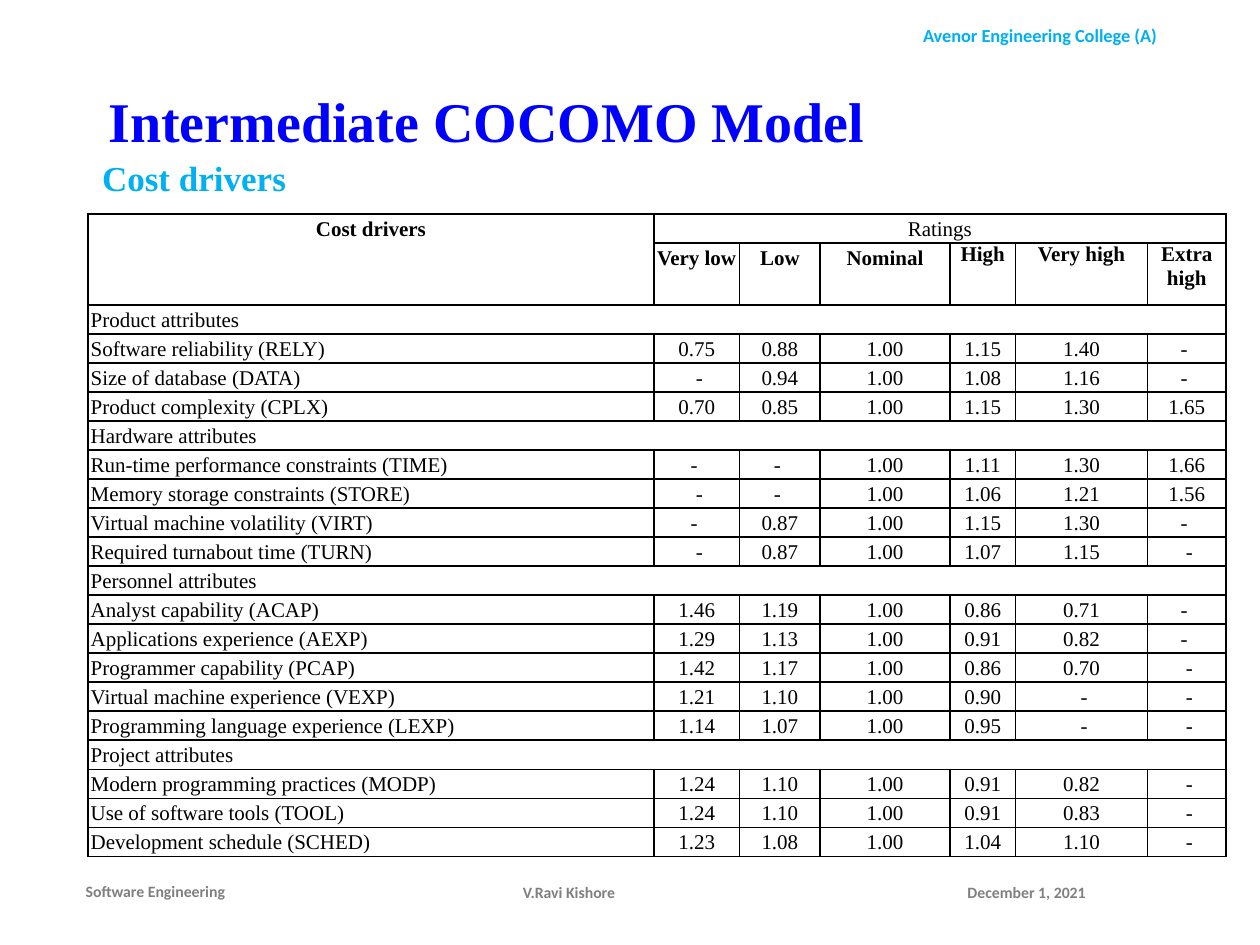
import lxml.etree
import pptx
import pptx.dml.color
import pptx.enum.text
import pptx.oxml.ns
import pptx.util

Inches = pptx.util.Inches
Pt = pptx.util.Pt
qn = pptx.oxml.ns.qn
ALIGN = pptx.enum.text.PP_ALIGN
ANCHOR = pptx.enum.text.MSO_ANCHOR
FIT = pptx.enum.text.MSO_AUTO_SIZE

SERIF, SANS = "Times New Roman", "Calibri"
BLACK, GREY, CYAN, BLUE = "000000", "808080", "00B0F0", "0000FF"
PRE, POST = "\u00a0-", "-\u00a0"

WIDTHS = (4.49, 0.68, 0.64, 1.03, 0.52, 1.05, 0.62)
LEVELS = ("Very low", "Low", "Nominal", "High", "Very high", "Extra high")
GROUPS = {
    "Product attributes": (
        ("Software reliability (RELY)", "0.75", "0.88", "1.00", "1.15", "1.40", POST),
        ("Size of database (DATA)", PRE, "0.94", "1.00", "1.08", "1.16", POST),
        ("Product complexity (CPLX)", "0.70", "0.85", "1.00", "1.15", "1.30", "1.65"),
    ),
    "Hardware attributes": (
        ("Run-time performance constraints (TIME)", POST, POST, "1.00", "1.11", "1.30", "1.66"),
        ("Memory storage constraints (STORE)", PRE, POST, "1.00", "1.06", "1.21", "1.56"),
        ("Virtual machine volatility (VIRT)", POST, "0.87", "1.00", "1.15", "1.30", POST),
        ("Required turnabout time (TURN)", PRE, "0.87", "1.00", "1.07", "1.15", PRE),
    ),
    "Personnel attributes": (
        ("Analyst capability (ACAP)", "1.46", "1.19", "1.00", "0.86", "0.71", POST),
        ("Applications experience (AEXP)", "1.29", "1.13", "1.00", "0.91", "0.82", POST),
        ("Programmer capability (PCAP)", "1.42", "1.17", "1.00", "0.86", "0.70", PRE),
        ("Virtual machine experience (VEXP)", "1.21", "1.10", "1.00", "0.90", PRE, PRE),
        ("Programming language experience (LEXP)", "1.14", "1.07", "1.00", "0.95", PRE, PRE),
    ),
    "Project attributes": (
        ("Modern programming practices (MODP)", "1.24", "1.10", "1.00", "0.91", "0.82", PRE),
        ("Use of software tools (TOOL)", "1.24", "1.10", "1.00", "0.91", "0.83", PRE),
        ("Development schedule (SCHED)", "1.23", "1.08", "1.00", "1.04", "1.10", PRE),
    ),
}


def apply(item, values):
    """Set each attribute of item from a dict."""
    for name, value in values.items():
        setattr(item, name, value)


def paint(font, color):
    """Colour a font from a hex string."""
    font.color.rgb = pptx.dml.color.RGBColor.from_string(color)


def write(frame, text, face, size, color, bold=True, **para):
    """Put one formatted paragraph into a text frame."""
    line = frame.paragraphs[0]
    apply(line, para)
    run = line.add_run()
    run.text = text
    apply(run.font, {"name": face, "size": Pt(size), "bold": bold})
    paint(run.font, color)
    return line


def place(shape, left, top, width, height):
    """Move and size a shape, in inches."""
    apply(shape, {"left": Inches(left), "top": Inches(top),
                  "width": Inches(width), "height": Inches(height)})


def label(slide, box, text, size, color, align, anchor=ANCHOR.MIDDLE, **inset):
    """Add a header or footer text box."""
    frame = slide.shapes.add_textbox(*map(Inches, box)).text_frame
    apply(frame, {"word_wrap": True, "vertical_anchor": anchor, **inset})
    write(frame, text, SANS, size, color, alignment=align)


def heads(slide):
    """Fill the title and body placeholders."""
    title, body = slide.shapes.title, slide.placeholders[1]
    place(title, 0, 0.4, 8.62, 1.17)
    apply(title.text_frame, {"auto_size": FIT.NONE, "margin_left": Inches(0.86),
                             "vertical_anchor": ANCHOR.MIDDLE})
    write(title.text_frame, "Intermediate COCOMO Model", SERIF, 32, BLUE,
          alignment=ALIGN.LEFT, line_spacing=0.9)
    place(body, 0.71, 1.23, 8.46, 0.47)
    body.text_frame.auto_size = FIT.NONE
    line = write(body.text_frame, "Cost drivers", SERIF, 20, CYAN,
                 line_spacing=0.9, space_before=Pt(7.5))
    props = line._p.get_or_add_pPr()
    apply_xml = {"marL": 0.19, "indent": -0.19}
    for name, value in apply_xml.items():
        props.set(name, str(Inches(value)))
    lxml.etree.SubElement(props, qn("a:buNone"))


def edge(cell):
    """Give a cell black borders and no fill."""
    props = cell._tc.get_or_add_tcPr()
    for side in "LRTB":
        rule = lxml.etree.SubElement(props, qn("a:ln" + side), w=str(Pt(1)))
        fill = lxml.etree.SubElement(rule, qn("a:solidFill"))
        lxml.etree.SubElement(fill, qn("a:srgbClr"), val=BLACK)
    cell.fill.background()


def fill_cell(cell, text, bold=False, align=ALIGN.CENTER, **para):
    """Write one table cell."""
    write(cell.text_frame, text, SERIF, 12, BLACK, bold, alignment=align,
          **{"line_spacing": 1.15, **para})


def ratings(slide):
    """Build the table of cost drivers."""
    count = 2 + sum(1 + len(rows) for rows in GROUPS.values())
    last = len(WIDTHS) - 1
    table = slide.shapes.add_table(count, len(WIDTHS), Inches(0.7), Inches(1.7),
                                   Inches(sum(WIDTHS)), Inches(4.89)).table
    apply(table, {"first_row": False, "horz_banding": False})
    for col, width in zip(table.columns, WIDTHS):
        col.width = Inches(width)
    for num, row in enumerate(table.rows):
        row.height = Inches(0.49 if num == 1 else 0.22)
    for cell in table.iter_cells():
        apply(cell, {"margin_left": Inches(0.02), "margin_right": Inches(0.02),
                     "margin_top": 0, "margin_bottom": 0})
        edge(cell)
        cell.text_frame.paragraphs[0].font.size = Pt(12)

    table.cell(0, 0).merge(table.cell(1, 0))
    table.cell(0, 1).merge(table.cell(0, last))
    fill_cell(table.cell(0, 0), "Cost drivers", True)
    fill_cell(table.cell(0, 1), "Ratings")
    for num, level in enumerate(LEVELS, 1):
        fill_cell(table.cell(1, num), level, True,
                  line_spacing=1.15 if num < 4 else 1.0)

    top = 2
    for group, rows in GROUPS.items():
        table.cell(top, 0).merge(table.cell(top, last))
        fill_cell(table.cell(top, 0), group, align=ALIGN.LEFT)
        for num, (driver, *values) in enumerate(rows, top + 1):
            fill_cell(table.cell(num, 0), driver, align=ALIGN.LEFT,
                      space_after=Pt(10))
            for col, value in enumerate(values, 1):
                fill_cell(table.cell(num, col), value)
        top += len(rows) + 1


def main():
    """Build and save the slide."""
    deck = pptx.Presentation()
    apply(deck, {"slide_width": Inches(10), "slide_height": Inches(7.5)})
    slide = deck.slides.add_slide(deck.slide_layouts[1])
    label(slide, (6.82, 0.14, 2.87, 0.28), "Avenor Engineering College (A)",
          10.5, CYAN, ALIGN.CENTER, ANCHOR.TOP)
    label(slide, (0.61, 6.87, 1.58, 0.4), "Software Engineering", 9, GREY,
          ALIGN.JUSTIFY, margin_left=Inches(0.07), margin_right=Inches(0.07))
    label(slide, (7.58, 6.88, 1.73, 0.4), "December 1, 2021", 9, GREY, ALIGN.LEFT)
    label(slide, (3.39, 6.88, 2.25, 0.4), "V.Ravi Kishore", 9, GREY, ALIGN.CENTER)
    heads(slide)
    ratings(slide)
    deck.save("out.pptx")


main()
